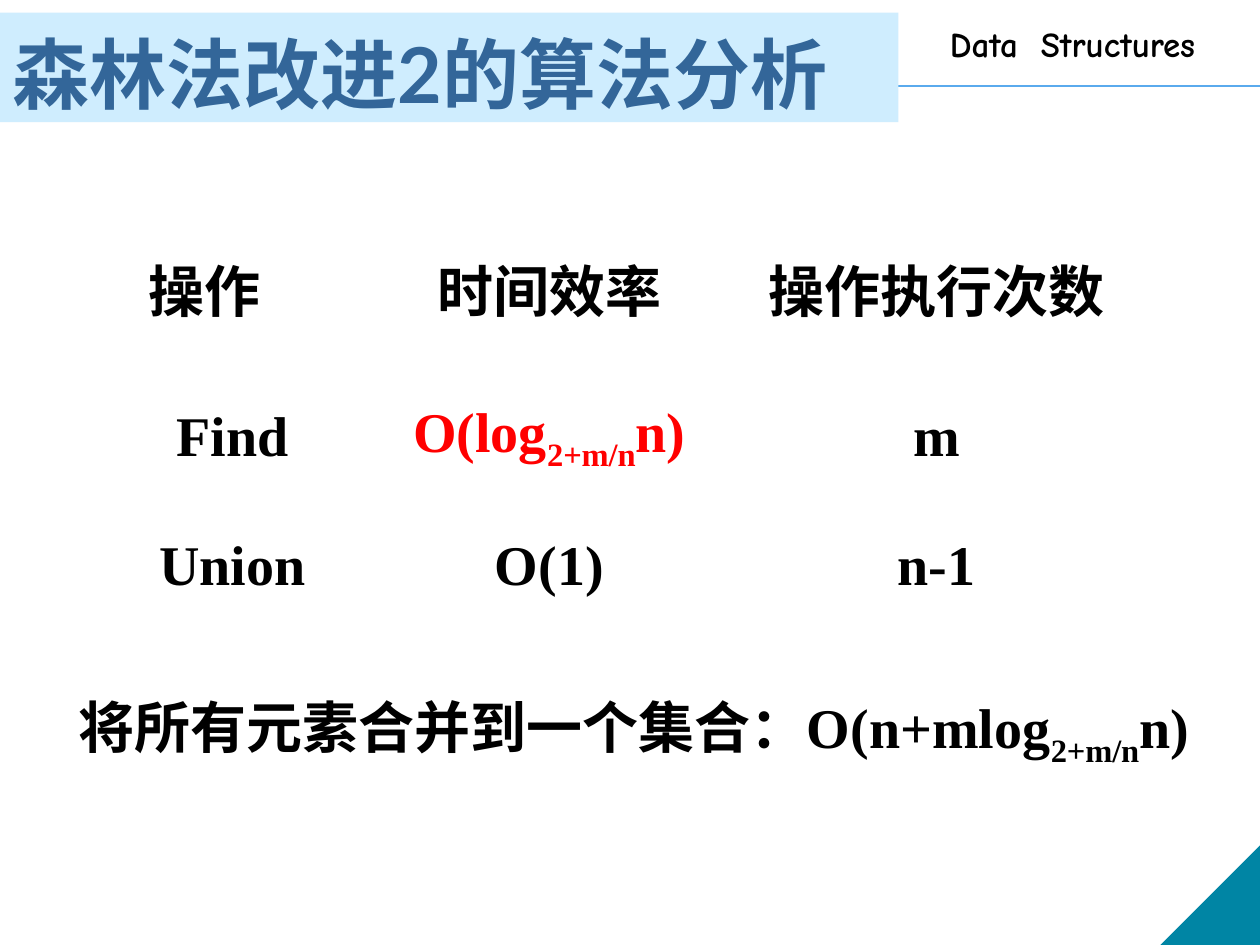
from lxml.etree import SubElement
from pptx import Presentation
from pptx.dml.color import RGBColor
from pptx.enum.shapes import MSO_CONNECTOR as CONN, MSO_SHAPE as SHAPE
from pptx.enum.text import MSO_ANCHOR as ANCHOR, MSO_AUTO_SIZE as AUTO, PP_ALIGN as ALIGN
from pptx.oxml.ns import qn
from pptx.util import Inches, Pt

W, H = 10, 7.5
BLACK = RGBColor(0x00, 0x00, 0x00)
WHITE = RGBColor(0xFF, 0xFF, 0xFF)
RED = RGBColor(0xFF, 0x00, 0x00)
BLUE = RGBColor(0x33, 0x66, 0x99)
PALE = RGBColor(0xCF, 0xED, 0xFE)
RULE = RGBColor(0x5A, 0xAA, 0xED)
TEAL = RGBColor(0x00, 0x85, 0xA4)

BODY = {"name": "Times New Roman", "size": Pt(32), "bold": True}
HEADING = {"name": "Lato", "size": Pt(44), "bold": True}
COURSE = {"name": "Comic Neue", "size": Pt(20), "bold": True}
SUB = {"baseline": "-25000"}
WIDE = {"spc": "600"}
NO_MARGIN = dict.fromkeys(("margin_left", "margin_right", "margin_top"), Inches(0.01))

COLS = (2.51, 2.52, 3.63)
ROWS = (1.27, 1.1, 0.94)
LOG = (("O(log", {}), ("2+m/n", SUB), ("n)", {}))
TOTAL = (("将所有元素合并到一个集合：O(n+mlog", {}),) + LOG[1:]
CELLS = (
    ("操作", "时间效率", "操作执行次数"),
    ("Find", LOG, "m"),
    ("Union", "O(1)", "n-1"),
)


def assign(obj, values):
    for name, value in values.items():
        setattr(obj, name, value)


def write(tf, text, fmt, color=BLACK, align=ALIGN.LEFT):
    """Write a string, or (string, run attributes) pairs, as one paragraph."""
    p = tf.paragraphs[0]
    p.alignment = align
    for part, attrs in ((text, {}),) if isinstance(text, str) else text:
        r = p.add_run()
        r.text = part
        assign(r.font, fmt)
        r.font.color.rgb = color
        for key, value in attrs.items():
            r._r.get_or_add_rPr().set(key, value)


def add_filled(s, kind, box, color):
    sp = s.shapes.add_shape(kind, *map(Inches, box))
    sp.shadow.inherit = False
    sp.fill.solid()
    sp.fill.fore_color.rgb = color
    sp.line.fill.background()
    return sp


def add_frame(s, box):
    """Rule, course name and corner triangle, within the slide's box."""
    x, y, w, h = box
    rule = s.shapes.add_connector(
        CONN.STRAIGHT, *map(Inches, (x, y + 0.68, x + w, y + 0.68)))
    rule.line.color.rgb = RULE
    rule.line.width = Pt(1)
    SubElement(rule._element.spPr, qn("a:effectLst"))

    side = 0.79
    corner = add_filled(
        s, SHAPE.RIGHT_TRIANGLE, (x + w - side, y + h - side, side, side), TEAL)
    corner._element.spPr.find(qn("a:xfrm")).set("flipH", "1")

    course = s.shapes.add_textbox(*map(Inches, (x + 7.44, y + 0.13, 2.6, 0.43)))
    course.text_frame.word_wrap = True
    write(course.text_frame, (("Data", {}), (" ", WIDE), ("Structures", {})), COURSE)


def add_title(s, box):
    x, y, w, h = box
    add_filled(s, SHAPE.RECTANGLE, (x, y, 7.13, 0.87), PALE)
    title = s.shapes.title
    # Bring the placeholder in front of its band
    s.shapes._spTree.append(title._element)
    assign(title, dict(zip(("left", "top", "width", "height"),
                           map(Inches, (x, y + 0.05, w, h)))))
    tf = title.text_frame
    assign(tf, {"vertical_anchor": ANCHOR.BOTTOM, "auto_size": AUTO.NONE,
                "word_wrap": True})
    write(tf, "森林法改进2的算法分析", HEADING, BLUE)


def add_borders(cell):
    pr = cell._tc.get_or_add_tcPr()
    for i, side in enumerate(("lnL", "lnR", "lnT", "lnB")):
        ln = pr.makeelement(qn("a:" + side), {"w": str(Pt(0.5))})
        fill = SubElement(ln, qn("a:solidFill"))
        SubElement(fill, qn("a:srgbClr"), val=str(WHITE))
        pr.insert(i, ln)


def add_costs(s, box):
    """Operations with their cost and number of runs."""
    table = s.shapes.add_table(len(ROWS), len(COLS), *map(Inches, box)).table
    table.first_row = table.horz_banding = False
    for col, width in zip(table.columns, COLS):
        col.width = Inches(width)
    for row, height, texts in zip(table.rows, ROWS, CELLS):
        row.height = Inches(height)
        for cell, text in zip(row.cells, texts):
            assign(cell, NO_MARGIN)
            assign(cell, {"margin_bottom": 0, "vertical_anchor": ANCHOR.MIDDLE})
            cell.fill.background()
            add_borders(cell)
            write(cell.text_frame, text, BODY, RED if text is LOG else BLACK,
                  ALIGN.CENTER)
    # The first heading sits half a character left of centre
    table.cell(0, 0).margin_right = Inches(0.45)


def add_total(s, box):
    tf = s.shapes.add_textbox(*map(Inches, box)).text_frame
    assign(tf, {"word_wrap": False, "margin_left": Inches(0.54)})
    write(tf, TOTAL, BODY)


def main():
    prs = Presentation()
    prs.slide_width, prs.slide_height = Inches(W), Inches(H)
    s = prs.slides.add_slide(prs.slide_layouts[5])
    add_frame(s, (0, 0, W, H))
    add_title(s, (0, 0.1, 0.85 * W, 0.84))
    add_costs(s, (0.59, 0.22 * H, sum(COLS), sum(ROWS)))
    add_total(s, (0.08, 5.45, 9.67, 0.64))
    prs.save("out.pptx")


if __name__ == "__main__":
    main()
